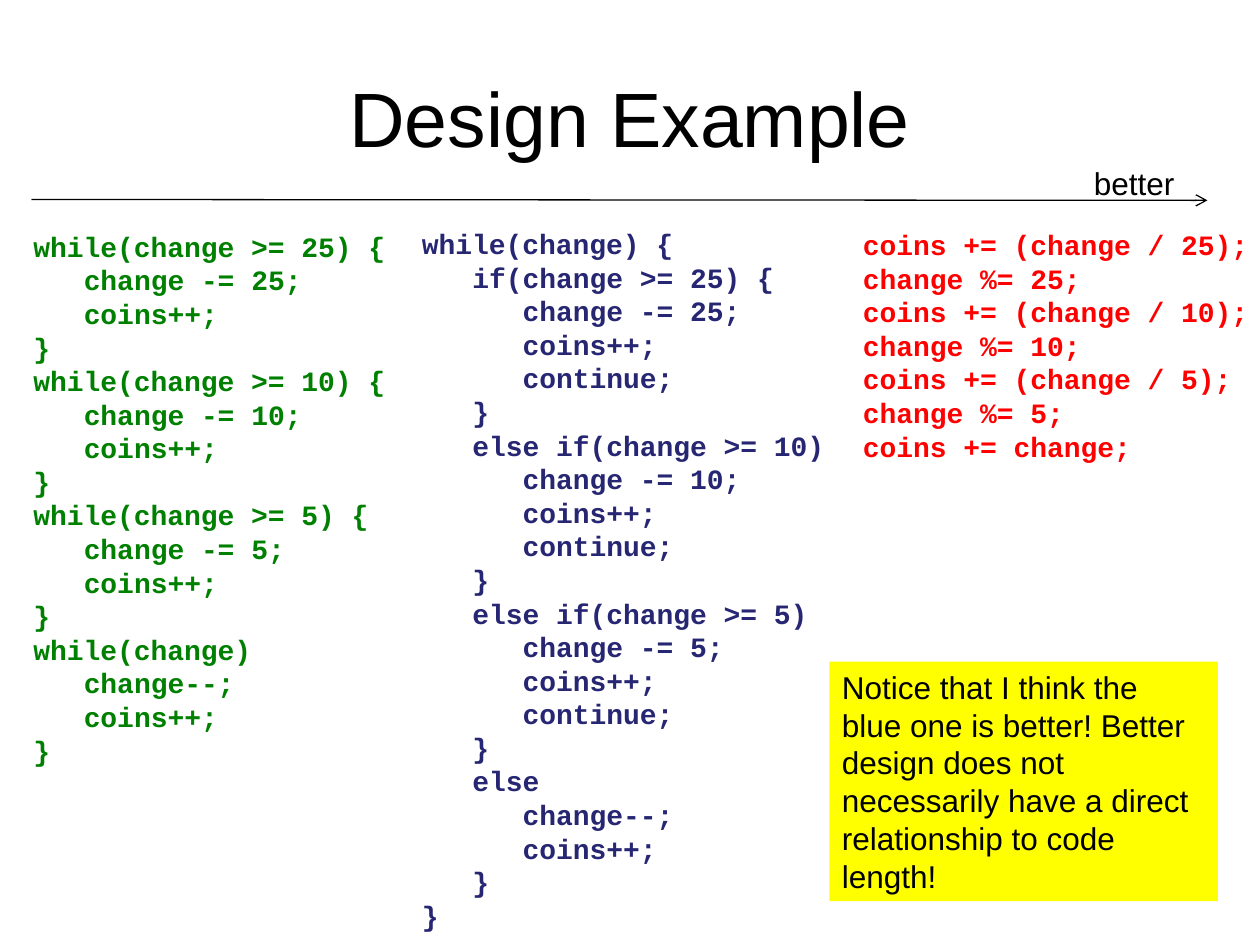
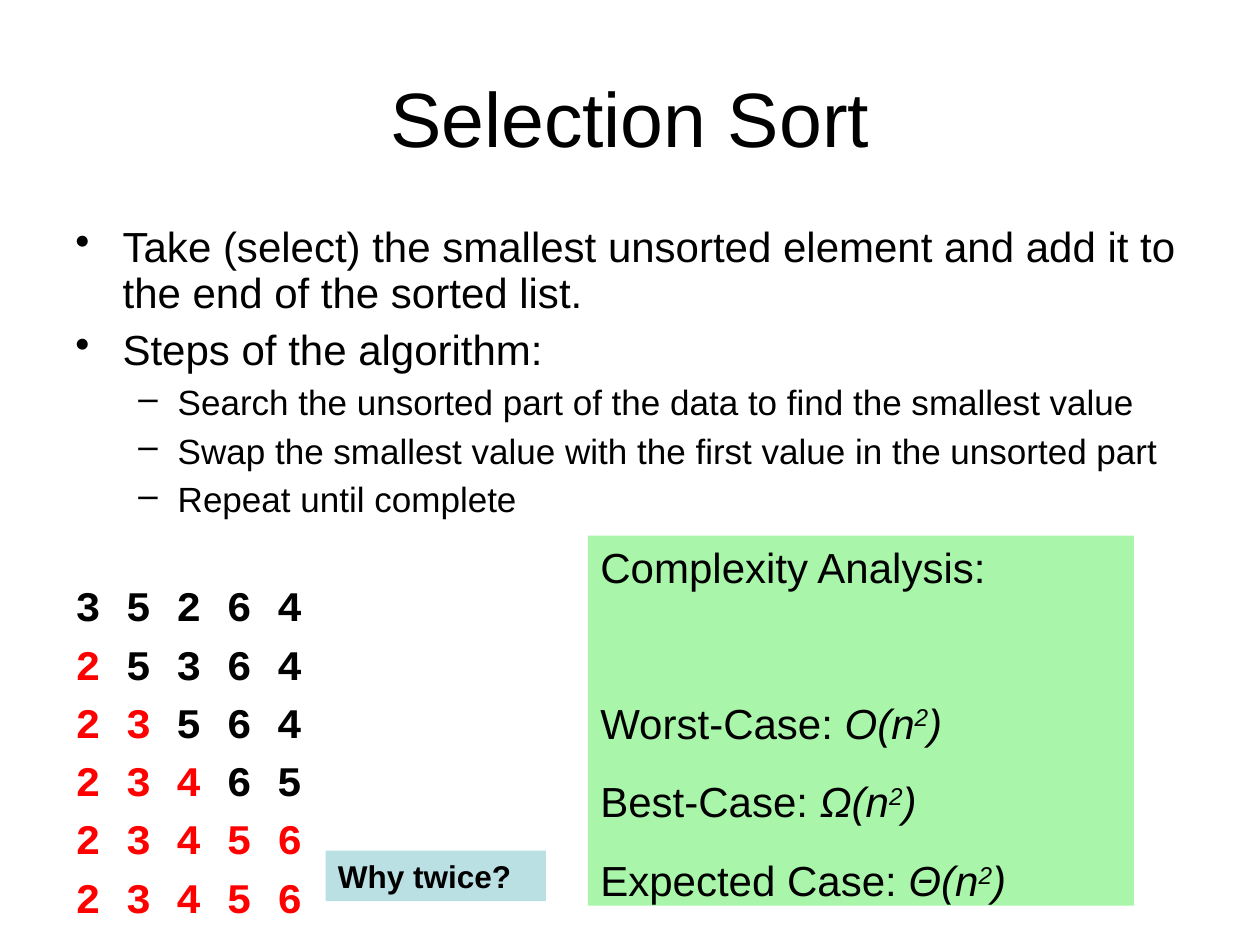
import pptx
import pptx.util
import pptx.dml.color
import pptx.enum.shapes
import pptx.enum.text
import lxml.etree
from pptx.oxml.ns import qn
from dataclasses import dataclass

Pt = pptx.util.Pt
ALIGN = pptx.enum.text.PP_ALIGN
ANCHOR = pptx.enum.text.MSO_ANCHOR


@dataclass(frozen=True)
class Theme:
    sans: str = "Arial"
    mono: str = "Courier New"
    black: str = "000000"
    red: str = "FF0000"
    green: str = "008000"
    blue: str = "262673"
    yellow: str = "FFFF00"
    mint: str = "A9F5A9"
    pale_teal: str = "BBE0E3"
    title: int = 44
    large: int = 24
    medium: int = 20
    note: int = 18
    code: int = 16


theme = Theme()


def add_box(slide, left, top, width, height, fill=None, anchor=ANCHOR.TOP):
    """Add a text box, or a filled rectangle, and return its text frame."""
    place = (Pt(left), Pt(top), Pt(width), Pt(height))
    if fill:
        box = slide.shapes.add_shape(pptx.enum.shapes.MSO_SHAPE.RECTANGLE, *place)
        box.shadow.inherit = False
        box.fill.solid()
        box.fill.fore_color.rgb = pptx.dml.color.RGBColor.from_string(fill)
        box.line.fill.background()
    else:
        box = slide.shapes.add_textbox(*place)
    box.text_frame.word_wrap = True
    box.text_frame.vertical_anchor = anchor
    return box.text_frame


def write(frame, text, size, color=theme.black, font=theme.sans, bold=False,
          align=ALIGN.LEFT, before=0, spacing=None, margin=0, hang=0, bullet=None):
    """Add a paragraph; text is a string or a list of (string, run changes)."""
    paragraph = frame.paragraphs[0]
    if paragraph.runs:
        paragraph = frame.add_paragraph()
    paragraph.alignment = align
    paragraph.space_before = Pt(before)
    if spacing:
        paragraph.line_spacing = spacing
    properties = paragraph._p.get_or_add_pPr()
    properties.set("marL", str(Pt(margin)))
    properties.set("indent", str(Pt(-hang)))
    if bullet:
        lxml.etree.SubElement(properties, qn("a:buChar")).set("char", bullet)
    for words, changes in [(text, {})] if isinstance(text, str) else text:
        run = paragraph.add_run()
        run.text = words
        run.font.name = font
        run.font.size = Pt(size)
        run.font.bold = bold
        run.font.italic = changes.get("italic", False)
        run.font.color.rgb = pptx.dml.color.RGBColor.from_string(changes.get("color", color))
        if "raised" in changes:
            run._r.get_or_add_rPr().set("baseline", str(changes["raised"]))


deck = pptx.Presentation()
deck.slide_width, deck.slide_height = Pt(720), Pt(540)

# Slides with their shared title
slides = []
for heading in ("Design Example", "Selection Sort"):
    slide = deck.slides.add_slide(deck.slide_layouts[6])
    title = add_box(slide, 36, 21.6, 648, 90, anchor=ANCHOR.MIDDLE)
    write(title, heading, theme.title, align=ALIGN.CENTER)
    slides.append(slide)
design, sorting = slides

# Code versions: each line is its nesting level and its text
coin_loops = []
for coin in (25, 10, 5):
    coin_loops += [(0, f"while(change >= {coin}) {{"), (1, f"change -= {coin};"),
                   (1, "coins++;"), (0, "}")]
coin_loops += [(0, "while(change)"), (1, "change--;"), (1, "coins++;"), (0, "}")]

single_loop = [(0, "while(change) {")]
for test, coin in (("if(change >= 25) {", 25), ("else if(change >= 10)", 10),
                   ("else if(change >= 5)", 5)):
    single_loop += [(1, test), (2, f"change -= {coin};"), (2, "coins++;"),
                    (2, "continue;"), (1, "}")]
single_loop += [(1, "else"), (2, "change--;"), (2, "coins++;"), (1, "}"), (0, "}")]

division = []
for coin in (25, 10, 5):
    division += [(0, f"coins += (change / {coin});"), (0, f"change %= {coin};")]
division.append((0, "coins += change;"))

level_indent = 28.8  # three characters of code
for code, color, left, top, width, height in (
        (single_loop, theme.blue, 234, 126, 336, 410),
        (coin_loops, theme.green, 12, 127.5, 336, 315),
        (division, theme.red, 486, 126.5, 234, 161)):
    column = add_box(design, left, top, width, height)
    column.margin_right = 0
    for level, line in code:
        write(column, line, theme.code, color, theme.mono, bold=True,
              margin=level * level_indent)

# Arrow towards the better design
better_arrow = design.shapes.add_connector(
    pptx.enum.shapes.MSO_CONNECTOR.STRAIGHT, Pt(18), Pt(114), Pt(690), Pt(114.5))
better_arrow.line.width = Pt(0.75)
better_arrow.line.color.rgb = pptx.dml.color.RGBColor.from_string(theme.black)
lxml.etree.SubElement(better_arrow.line._get_or_add_ln(), qn("a:tailEnd")).set("type", "arrow")
lxml.etree.SubElement(better_arrow._element.spPr, qn("a:effectLst"))
write(add_box(design, 618, 90, 102, 29), "better", theme.note)

# Remark on design and length
remark = add_box(design, 474, 378, 222, 137, fill=theme.yellow)
write(remark, "Notice that I think the blue one is better! Better design does not "
      "necessarily have a direct relationship to code length!", theme.note)

# Explanation of the algorithm
explanation = add_box(sorting, 36, 126, 648, 396)
for point in ("Take (select) the smallest unsorted element and add it to the end "
              "of the sorted list.", "Steps of the algorithm:"):
    write(explanation, point, theme.large, before=7, spacing=0.9,
          margin=27, hang=27, bullet="•")
for step in ("Search the unsorted part of the data to find the smallest value",
             "Swap the smallest value with the first value in the unsorted part",
             "Repeat until complete"):
    write(explanation, step, theme.medium, before=6, spacing=0.9,
          margin=58.5, hang=22.5, bullet="–")

# Sorting trace: the sorted part is red
for row, (done, rest) in enumerate((("", "3 5 2 6 4"), ("2", " 5 3 6 4"), ("2 3", " 5 6 4"),
                                    ("2 3 4", " 6 5"), ("2 3 4 5 6", ""), ("2 3 4 5 6", ""))):
    parts = [(part, {"color": color})
             for part, color in ((done, theme.red), (rest, theme.black)) if part]
    write(explanation, parts, theme.large, font=theme.mono, bold=True,
          before=7.4 if row else 37.5, spacing=0.9, margin=27, hang=27)

# Complexity of each case
complexity = add_box(sorting, 336, 306, 312, 211.5, fill=theme.mint)
write(complexity, "Complexity Analysis:", theme.large)
for case, bound, gap in (("Worst-Case: ", "O", 60), ("Best-Case: ", "Ω", 16.2),
                         ("Expected Case: ", "Θ", 16.2)):
    write(complexity, [(case, {}), (f"{bound}(n", {"italic": True}),
                       ("2", {"italic": True, "raised": 30000}), (")", {"italic": True})],
          theme.large, before=gap)

# Question about the repeated last row
question = add_box(sorting, 186, 486, 126, 29, fill=theme.pale_teal)
write(question, "Why twice?", theme.note, bold=True)

deck.save("out.pptx")
